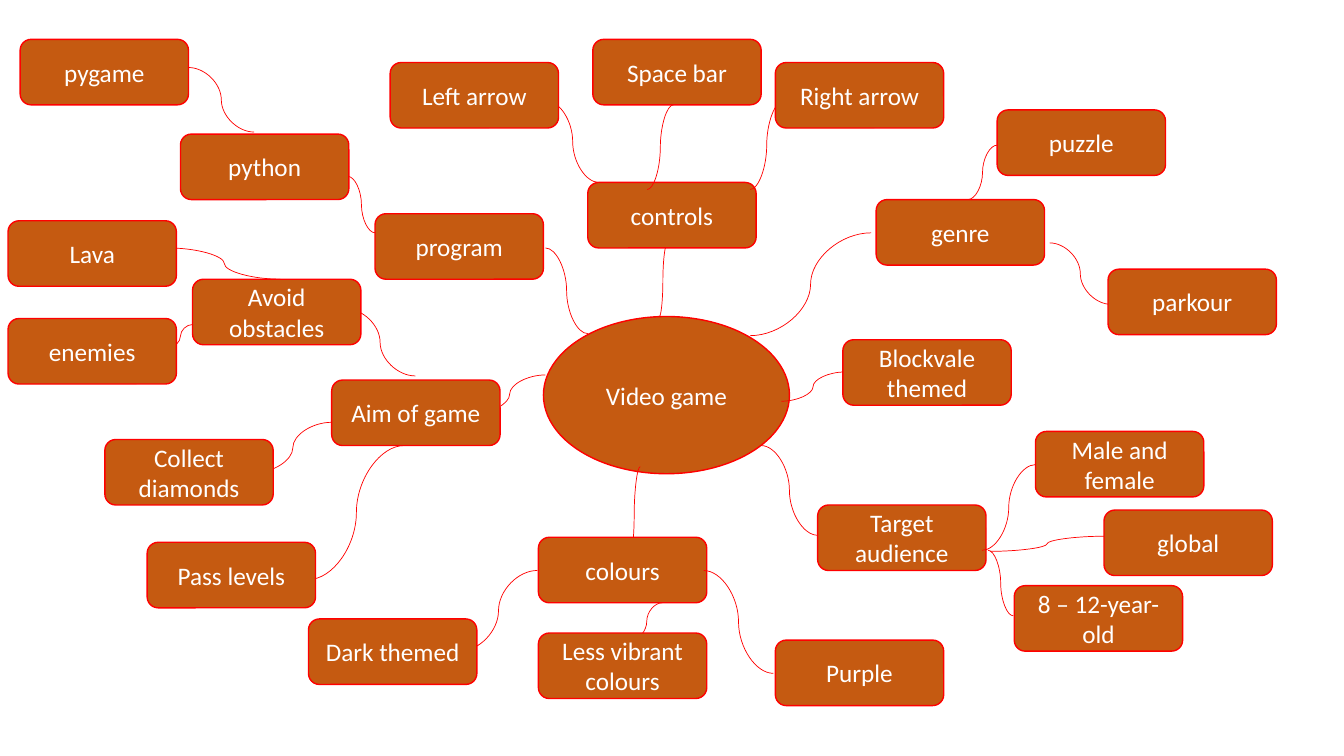
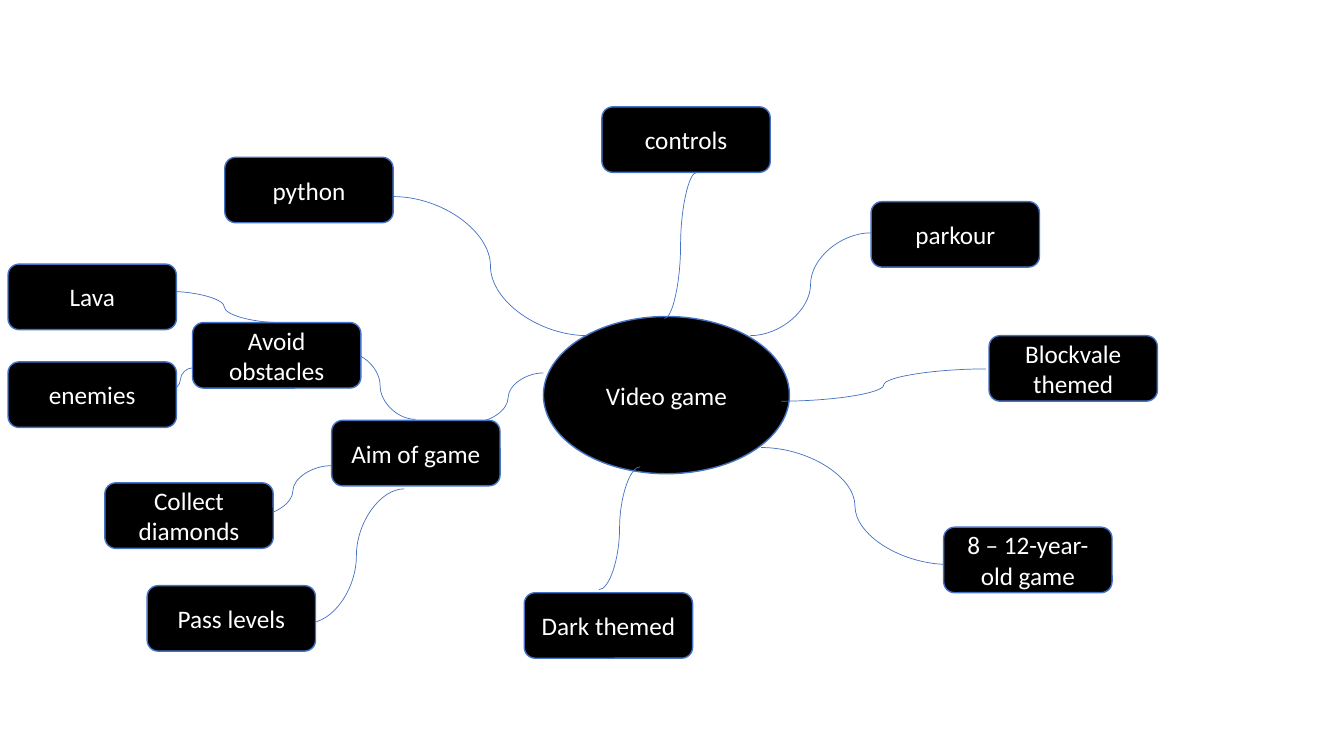
from collections import namedtuple

from lxml import etree
from pptx import Presentation
from pptx import util as u
from pptx.dml.color import RGBColor
from pptx.enum import shapes, text
from pptx.oxml import ns

PX = 9144  # one px is a hundredth of an inch
WIDE, HIGH = 1333, 750
NODE = (167, 65)
HUB = (539, 314, 244, 156)
INK = {"rust": "C55A11", "red": "FF0000", "black": "000000",
       "blue": "4472C4", "white": "FFFFFF"}
FONT = {"name": "Calibri", "size": u.Pt(18)}
FRAME = {"word_wrap": True, "vertical_anchor": text.MSO_ANCHOR.MIDDLE}

Look = namedtuple("Look", "fill line")
# x, y and stem (x1, y1, x2, y2) count from the parent's top left corner
Node = namedtuple("Node", "label x y stem kids", defaults=((),))


def color(key):
    return RGBColor.from_string(INK[key])


def dress(item, values):
    for name, value in values.items():
        setattr(item, name, value)


def stroke(line, key, width):
    line.color.rgb = color(key)
    line.width = u.Pt(width)


def bubble(page, kind, box, label, look):
    """A filled shape with a centred label."""
    shape = page.shapes.add_shape(kind, *(n * PX for n in box))
    shape.shadow.inherit = False
    shape.fill.solid()
    shape.fill.fore_color.rgb = color(look.fill)
    stroke(shape.line, look.line, 1)
    dress(shape.text_frame, FRAME)
    para = shape.text_frame.paragraphs[0]
    para.alignment = text.PP_ALIGN.CENTER
    run = para.add_run()
    run.text = label
    dress(run.font, FONT)
    run.font.color.rgb = color("white")


def curve(page, ends, look):
    """A thin curved link."""
    link = page.shapes.add_connector(
        shapes.MSO_CONNECTOR.CURVE, *(n * PX for n in ends))
    stroke(link.line, look.line, 0.5)
    etree.SubElement(link._element.spPr, ns.qn("a:effectLst"))


def branch(page, left, top, node, look):
    """A link, its node, and all that grows from it."""
    x1, y1, x2, y2 = node.stem
    curve(page, (left + x1, top + y1, left + x2, top + y2), look)
    x, y = left + node.x, top + node.y
    bubble(page, shapes.MSO_SHAPE.ROUNDED_RECTANGLE, (x, y, *NODE),
           node.label, look)
    for kid in node.kids:
        branch(page, x, y, kid, look)


def chart(deck, look, nodes):
    """A mind map slide: the hub, then its branches."""
    page = deck.slides.add_slide(deck.slide_layouts[6])
    bubble(page, shapes.MSO_SHAPE.OVAL, HUB, "Video game", look)
    for node in nodes:
        branch(page, 0, 0, node, look)


def aim(y, stem, drop):
    """The aim branch, whose children may sit lower by drop."""
    kids = (
        Node("Avoid obstacles", -138, -100, (13, -71, 83, -4), (
            Node("Lava", -183, -58, (-24, -31, 87, 0)),
            Node("enemies", -183, 39, (-24, 68, 0, 45)))),
        Node("Collect diamonds", -225, 59, (-77, 92, 0, 42)),
        Node("Pass levels", -183, 161, (72, 65, -23, 198)),
    )
    moved = []
    for kid in kids:
        x1, y1, x2, y2 = kid.stem
        moved.append(kid._replace(
            y=kid.y + drop, stem=(x1, y1 + drop, x2, y2 + drop)))
    return Node("Aim of game", 329, y, stem, moved)


# Slide 1: all ideas
IDEAS = (
    Node("genre", 869, 198, (864, 231, 744, 333), (
        Node("puzzle", 120, -89, (120, -54, 91, 0)),
        Node("parkour", 230, 69, (233, 104, 172, 43)))),
    Node("program", 372, 212, (541, 246, 583, 331), (
        Node("python", -193, -79, (-27, -37, 0, 19), (
            Node("pygame", -159, -94, (8, -66, 73, -2)),)),)),
    Node("Target audience", 811, 501, (755, 442, 811, 531), (
        Node("8 – 12-year-old", 195, 80, (194, 110, 169, 45)),
        Node("Male and female", 216, -73, (163, 45, 216, -40)),
        Node("global", 284, 5, (171, 46, 284, 31)))),
    aim(377, (470, 410, 541, 372), 0),
    Node("controls", 583, 181, (661, 244, 654, 314), (
        Node("Space bar", 5, -142, (85, -77, 59, 7)),
        Node("Right arrow", 186, -119, (194, -81, 161, 7)),
        Node("Left arrow", -196, -119, (-41, -81, 11, 0)))),
    Node("Blockvale themed", 836, 337, (838, 369, 775, 398)),
    Node("colours", 534, 533, (635, 463, 623, 560), (
        Node("Dark themed", -228, 81, (-1, 33, -78, 113)),
        Node("Purple", 235, 102, (164, 33, 233, 135)),
        Node("Less vibrant colours", 0, 95, (123, 65, 92, 102)))),
)

# Slide 2: the chosen ideas
PICKS = (
    Node("parkour", 864, 200, (864, 231, 744, 333)),
    Node("python", 223, 156, (390, 195, 583, 333)),
    Node("8 – 12-year-old game", 936, 523, (755, 444, 941, 560)),
    aim(417, (469, 419, 539, 370), 3),
    Node("controls", 597, 106, (691, 171, 659, 316)),
    Node("Blockvale themed", 981, 333, (978, 366, 775, 398)),
    Node("Dark themed", 520, 588, (635, 463, 594, 585)),
)


def main():
    deck = Presentation()
    dress(deck, {"slide_width": WIDE * PX, "slide_height": HIGH * PX})
    chart(deck, Look("rust", "red"), IDEAS)
    chart(deck, Look("black", "blue"), PICKS)
    deck.save("out.pptx")


if __name__ == "__main__":
    main()
